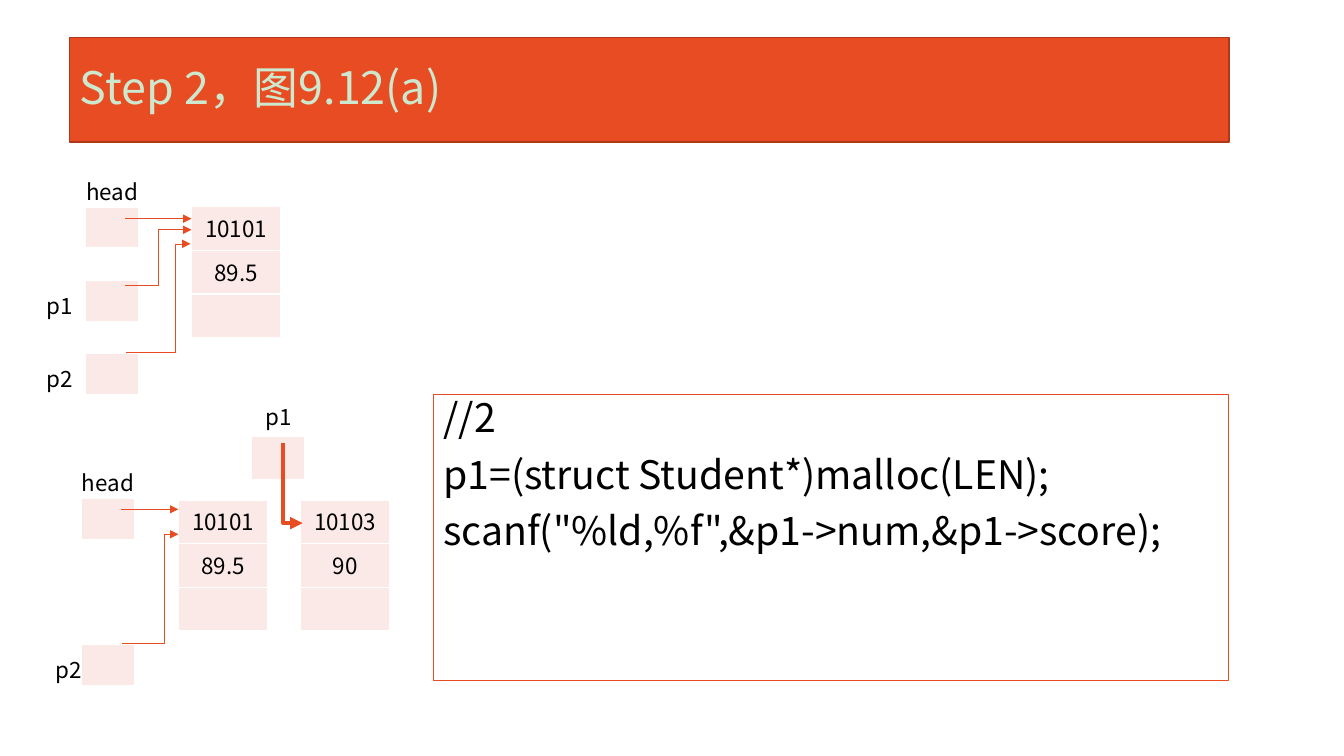
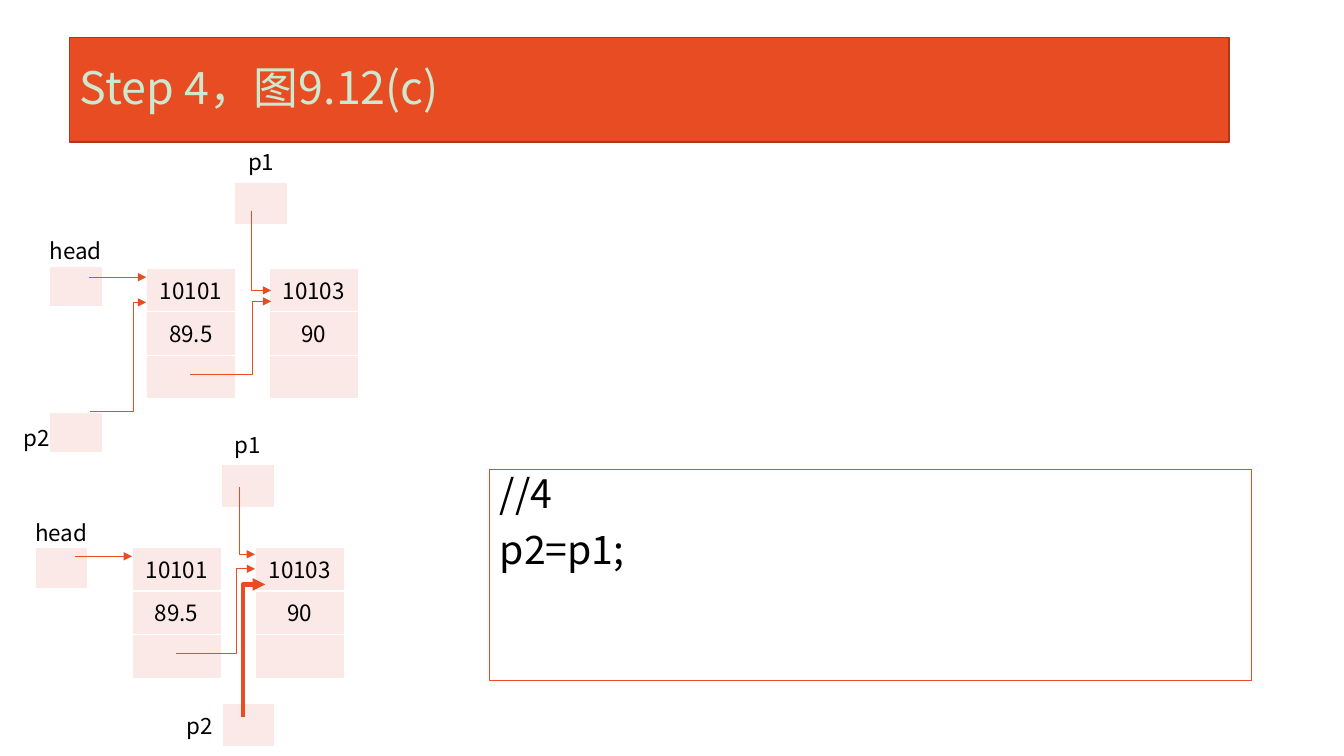
from dataclasses import dataclass
from typing import NamedTuple

from lxml.etree import SubElement
from pptx import Presentation
from pptx.dml.color import RGBColor
from pptx.enum.shapes import MSO_CONNECTOR as Connector, MSO_SHAPE as Preset
from pptx.enum.text import MSO_ANCHOR as Anchor, PP_ALIGN as Align
from pptx.oxml.ns import qn
from pptx.util import Pt

COLORS = {
    "background": "FFFFFF",
    "accent": "E84C22",
    "title_edge": "AC3819",
    "title_text": "CCE8CF",
    "cell": "FBE9E8",
    "text": "000000",
}
FONT = "Noto Sans CJK SC"
LABEL_HEIGHT = 29.2
GAP_HEIGHT = 23
LABEL_WIDTH = 37.5
LOOSE_HEIGHT = 30.4
LONE_WIDTH = 38
RECORD_WIDTH = 63.6
RECORD_HEIGHT = 31.2
TABLE_FORMAT = {"first_row": False, "horz_banding": False}
TIGHT_FORMAT = {
    "margin_left": 0, "margin_right": 0, "margin_top": 0, "margin_bottom": 0,
}
TITLE_FORMAT = {"word_wrap": True, "vertical_anchor": Anchor.MIDDLE}
CODE_FORMAT = {"word_wrap": True, "vertical_anchor": Anchor.TOP}
TITLE_PARAGRAPH = {"alignment": Align.LEFT, "line_spacing": 0.9}
CODE_PARAGRAPH = {"alignment": Align.LEFT, "line_spacing": 0.9, "space_before": Pt(10)}


class Point(NamedTuple):
    x: float
    y: float


class Box(NamedTuple):
    left: float
    top: float
    width: float
    height: float


class Cell(NamedTuple):
    text: str = ""
    filled: bool = False
    align: Align = Align.CENTER


@dataclass
class Grid:
    left: float
    top: float
    widths: list[float]
    heights: list[float]
    rows: list[list[Cell]]
    anchor: Anchor = Anchor.BOTTOM
    tight: bool = False


@dataclass
class Arrow:
    points: list[tuple[float, float]]
    width: float = 0.5
    elbow: bool = False


@dataclass
class Step:
    title: str
    code_box: Box
    code: list[str]
    grids: list[Grid]
    arrows: list[Arrow]


POINTER = Cell(filled=True)
BLANK = Cell()
TITLE_BOX = Box(49.8, 26.9, 828.2, 74.7)
COLUMN_HEIGHTS = [LABEL_HEIGHT] * 2 + [GAP_HEIGHT, LABEL_HEIGHT] * 2


def pointer_column(left: float, top: float, p1: str = "", align: Align = Align.RIGHT) -> Grid:
    rows = [
        [BLANK, Cell("head")],
        [BLANK, POINTER],
        [BLANK, BLANK],
        [Cell(p1, align=align), POINTER if p1 else BLANK],
        [BLANK, BLANK],
        [Cell("p2", align=align), POINTER],
    ]
    return Grid(left, top, [LABEL_WIDTH] * 2, COLUMN_HEIGHTS, rows, tight=True)


def head_pointer(left: float, top: float) -> Grid:
    rows = [[Cell("head")], [POINTER]] + [[BLANK]] * 4
    return Grid(left, top, [LABEL_WIDTH], COLUMN_HEIGHTS, rows, tight=True)


def top_pointer(left: float, top: float) -> Grid:
    rows = [[Cell("p1")], [POINTER]]
    return Grid(left, top, [LONE_WIDTH], [LOOSE_HEIGHT] * 2, rows)


def side_pointer(left: float, top: float) -> Grid:
    rows = [[Cell("p2", align=Align.RIGHT), POINTER]]
    return Grid(left, top, [39.6, 36.7], [LOOSE_HEIGHT], rows, Anchor.TOP)


def record(left: float, top: float, number: str, score: str, columns: int = 1) -> Grid:
    spare = [BLANK] * (columns - 1)
    rows = [[Cell(value, True)] + spare for value in (number, score, "")]
    return Grid(left, top, [RECORD_WIDTH] * columns, [RECORD_HEIGHT] * 3, rows, Anchor.TOP)


FIRST = ("10101", "89.5")
SECOND = ("10103", "90")
STEPS = [
    Step(
        "Step 2，图9.12(a)",
        Box(309.6, 281.5, 568.1, 204.5),
        ["//2", "p1=(struct Student*)malloc(LEN);", 'scanf("%ld,%f",&p1->num,&p1->score);'],
        [
            pointer_column(20.9, 326.7),
            record(127.5, 357.2, *FIRST),
            record(214.7, 357.2, *SECOND, columns=2),
            top_pointer(179.8, 281.5),
            pointer_column(23.8, 118.8, "p1", Align.CENTER),
            record(136.8, 147.6, *FIRST, columns=2),
        ],
        [
            Arrow([(86.4, 363.8), (127.4, 363.8)]),
            Arrow([(87.1, 459.4), (117.4, 459.4), (117.4, 381.6), (127.4, 381.6)]),
            Arrow([(202.3, 316.4), (202.3, 373.7), (216.2, 373.7)], 3),
            Arrow([(89.3, 156.2), (136.8, 156.2)]),
            Arrow([(89.3, 203.8), (136.8, 164.2)], elbow=True),
            Arrow([(90, 251.6), (125.3, 251.6), (125.3, 174.2), (136.1, 174.2)]),
        ],
    ),
    Step(
        "Step 4，图9.12(c)",
        Box(349.9, 335.5, 544.3, 150.5),
        ["//4", "p2=p1;"],
        [
            top_pointer(167.6, 99.7),
            pointer_column(-2, 160.8),
            record(104.5, 191.5, *FIRST),
            record(192.3, 191.5, *SECOND, columns=2),
            side_pointer(119.5, 502.6),
            head_pointer(25, 362),
            record(94.4, 391, *FIRST),
            record(182.3, 391, *SECOND, columns=2),
            top_pointer(158, 301.5),
        ],
        [
            Arrow([(63.8, 198), (104.4, 198)]),
            Arrow([(64.5, 293.8), (95, 293.8), (95, 216), (104.4, 216)]),
            Arrow([(179.7, 150.5), (179.7, 207.4), (193.7, 207.4)]),
            Arrow([(136.1, 267.5), (180, 267.5), (180, 215.3), (193.7, 215.3)]),
            Arrow([(53.8, 397.4), (94.3, 397.4)]),
            Arrow([(170.8, 347.8), (170.8, 396), (182.2, 396)]),
            Arrow([(126, 466.6), (168.7, 466.6), (168.7, 406.3), (182.2, 406.3)]),
            Arrow([(173.5, 511.9), (173.5, 417.5), (189.4, 417.5)], 3),
        ],
    ),
]


def color(name: str) -> RGBColor:
    return RGBColor.from_string(COLORS[name])


def apply_format(target, values: dict) -> None:
    for name, value in values.items():
        setattr(target, name, value)


def write_text(paragraph, text: str, size: float, color_name: str) -> None:
    run = paragraph.add_run()
    run.text = text
    apply_format(run.font, {"name": FONT, "size": Pt(size)})
    run.font.color.rgb = color(color_name)
    SubElement(run._r.get_or_add_rPr(), qn("a:ea"), typeface=FONT)


def draw_panel(slide, box: Box, edge: str, edge_width: float, frame_format: dict):
    shape = slide.shapes.add_shape(Preset.RECTANGLE, *map(Pt, box))
    shape.shadow.inherit = False
    shape.fill.background()
    shape.line.color.rgb = color(edge)
    shape.line.width = Pt(edge_width)
    apply_format(shape.text_frame, frame_format)
    return shape


def draw_title(slide, title: str) -> None:
    shape = draw_panel(slide, TITLE_BOX, "title_edge", 1, TITLE_FORMAT)
    shape.fill.solid()
    shape.fill.fore_color.rgb = color("accent")
    paragraph = shape.text_frame.paragraphs[0]
    apply_format(paragraph, TITLE_PARAGRAPH)
    write_text(paragraph, title, 32, "title_text")


def draw_code(slide, box: Box, lines: list[str]) -> None:
    frame = draw_panel(slide, box, "accent", 0.75, CODE_FORMAT).text_frame
    for index, line in enumerate(lines):
        paragraph = frame.add_paragraph() if index else frame.paragraphs[0]
        apply_format(paragraph, CODE_PARAGRAPH)
        write_text(paragraph, line, 28, "text")


def fill_cell(target, cell: Cell, grid: Grid) -> None:
    if cell.filled:
        target.fill.solid()
        target.fill.fore_color.rgb = color("cell")
    else:
        target.fill.background()
    target.vertical_anchor = grid.anchor
    if grid.tight:
        apply_format(target, TIGHT_FORMAT)
    paragraph = target.text_frame.paragraphs[0]
    paragraph.alignment = cell.align
    if cell.text:
        write_text(paragraph, cell.text, 16, "text")
    else:
        SubElement(paragraph._p, qn("a:endParaRPr"), sz="800")


def draw_grid(slide, grid: Grid) -> None:
    box = Box(grid.left, grid.top, sum(grid.widths), sum(grid.heights))
    table = slide.shapes.add_table(
        len(grid.heights), len(grid.widths), *map(Pt, box)
    ).table
    apply_format(table, TABLE_FORMAT)
    for column, width in zip(table.columns, grid.widths):
        column.width = Pt(width)
    for row, height, cells in zip(table.rows, grid.heights, grid.rows):
        row.height = Pt(height)
        for target, cell in zip(row.cells, cells):
            fill_cell(target, cell, grid)


def draw_arrow(slide, arrow: Arrow) -> None:
    points = [Point(Pt(x), Pt(y)) for x, y in arrow.points]
    if len(points) == 2:
        kind = Connector.ELBOW if arrow.elbow else Connector.STRAIGHT
        shape = slide.shapes.add_connector(kind, *points[0], *points[1])
    else:
        builder = slide.shapes.build_freeform(*points[0])
        builder.add_line_segments(points[1:], close=False)
        shape = builder.convert_to_shape()
        shape.fill.background()
    shape.line.color.rgb = color("accent")
    shape.line.width = Pt(arrow.width)
    properties = shape._element.spPr
    SubElement(properties.find(qn("a:ln")), qn("a:tailEnd"), type="triangle")
    SubElement(properties, qn("a:effectLst"))


def draw_step(presentation, step: Step) -> None:
    slide = presentation.slides.add_slide(presentation.slide_layouts[6])
    slide.background.fill.solid()
    slide.background.fill.fore_color.rgb = color("background")
    for grid in step.grids:
        draw_grid(slide, grid)
    draw_title(slide, step.title)
    for arrow in step.arrows:
        draw_arrow(slide, arrow)
    draw_code(slide, step.code_box, step.code)


def main() -> None:
    presentation = Presentation()
    presentation.slide_width = Pt(960)
    presentation.slide_height = Pt(540)
    for step in STEPS:
        draw_step(presentation, step)
    presentation.save("out.pptx")


if __name__ == "__main__":
    main()
